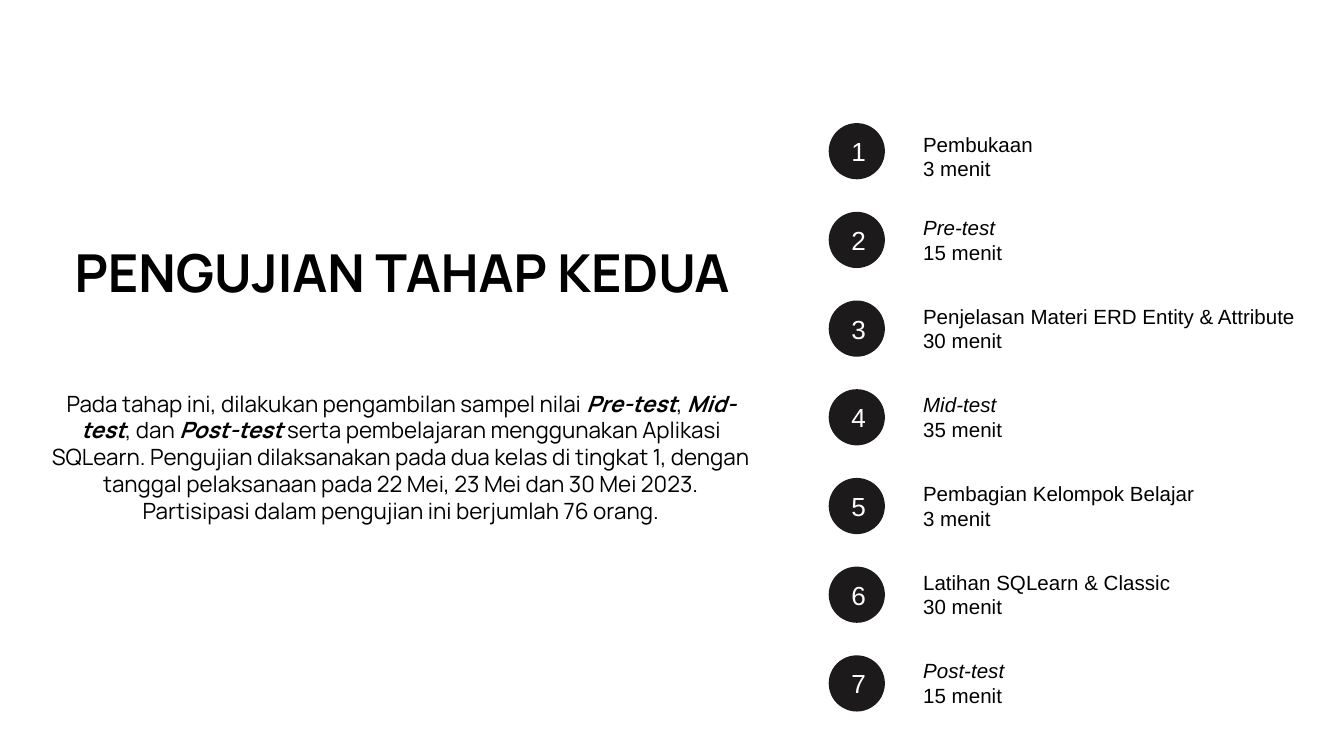
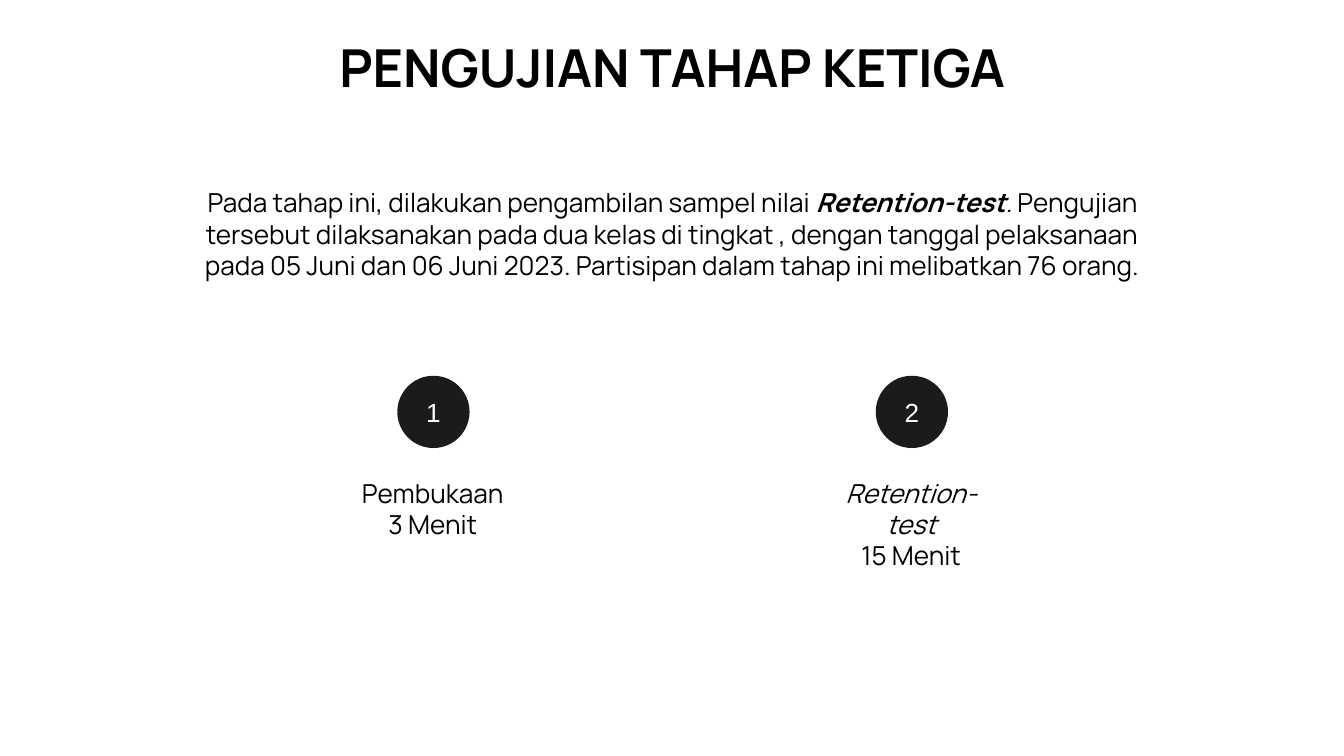
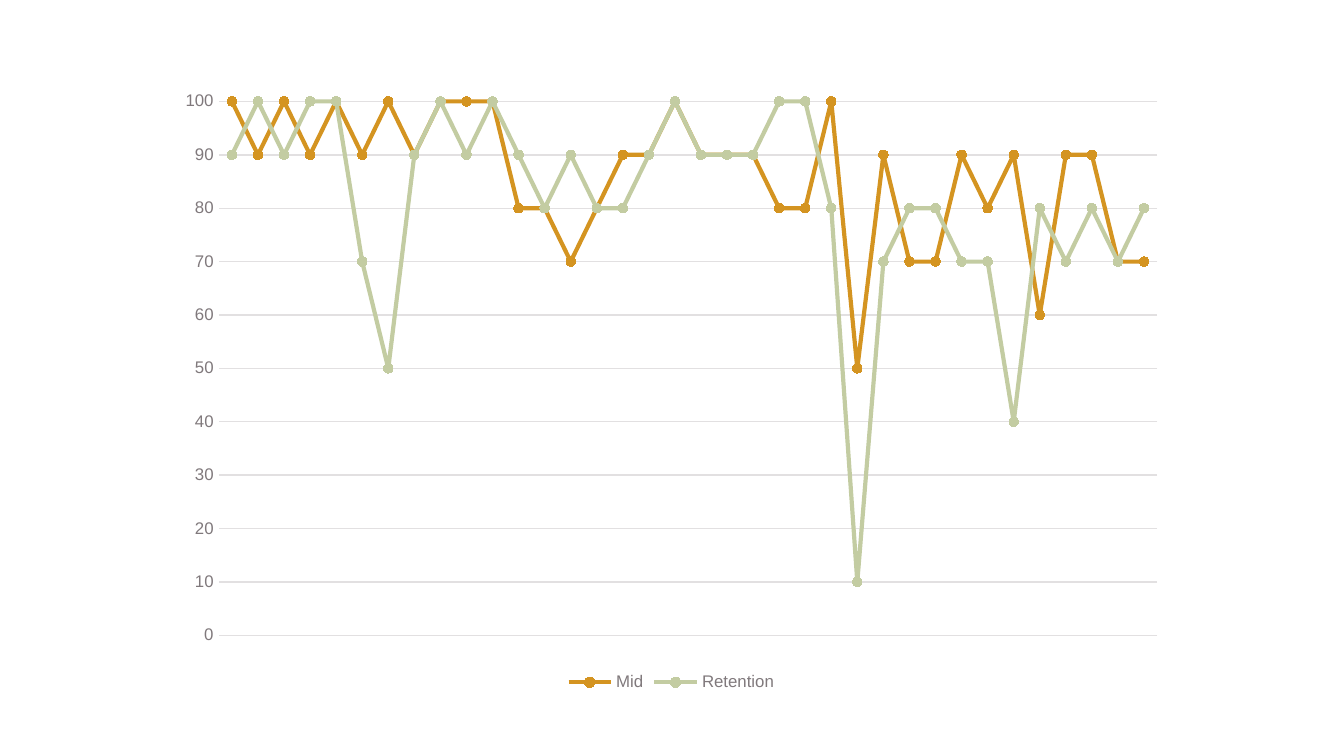
"""Build three slides on the second and third test stages and their scores."""
import pptx
import pptx.chart.data
import pptx.dml.color
import pptx.enum.chart
import pptx.enum.shapes
import pptx.enum.text
import pptx.util

Inches = pptx.util.Inches
Pt = pptx.util.Pt
ALIGN = pptx.enum.text.PP_ALIGN
BLACK, DARK, WHITE = "000000", "1C1A1B", "FFFFFF"
GREY, GRID, GOLD, SAGE = "80797C", "E2E0E1", "D49421", "C3CCA2"
HEAD, BODY = "Manrope", "Arial"


def paint(fill, tint):
    """Give a fill one solid colour."""
    fill.solid()
    fill.fore_color.rgb = pptx.dml.color.RGBColor.from_string(tint)


def write(shape, runs, size, face, tint=BLACK, align=ALIGN.CENTER):
    """Write (text, style) runs, where None stands for a line break."""
    para = shape.text_frame.paragraphs[0]
    para.alignment = align
    for item in runs:
        if item is None:
            para.add_line_break()
            continue
        run = para.add_run()
        run.text, style = item
        run.font.size = Pt(size)
        run.font.name = face
        run.font.bold = "b" in style
        run.font.italic = "i" in style
        paint(run.font.fill, tint)


deck = pptx.Presentation()
deck.slide_width = Inches(10)
deck.slide_height = Inches(10 * 9 / 16)
second, third, score = [deck.slides.add_slide(deck.slide_layouts[6]) for _ in range(3)]

steps = [
    ("Pembukaan", "", "3 menit", 1.03),
    ("Pre-test", "i", "15 menit", 0.79),
    ("Penjelasan Materi ERD Entity & Attribute", "", "30 menit", 3),
    ("Mid-test", "i", "35 menit", 0.79),
    ("Pembagian Kelompok Belajar", "", "3 menit", 2.24),
    ("Latihan SQLearn & Classic", "", "30 menit", 2.05),
    ("Post-test", "i", "15 menit", 0.81),
]
parts = [("Pembukaan", "", "3 Menit", 1.29), ("Retention-test", "i", "15 Menit", 1.44)]

intro = [
    ("Pada tahap ini, dilakukan pengambilan sampel nilai ", ""),
    ("Pre-test", "bi"), (", ", ""), ("Mid-test", "bi"), (", dan ", ""), ("Post-test", "bi"),
    (" serta pembelajaran menggunakan Aplikasi SQLearn. Pengujian dilaksanakan pada dua kelas "
     "di tingkat 1, dengan tanggal pelaksanaan pada 22 Mei, 23 Mei dan 30 Mei 2023. "
     "Partisipasi dalam pengujian ini berjumlah 76 orang.", ""),
]
brief = [
    ("Pada tahap ini, dilakukan pengambilan sampel nilai ", ""),
    ("Retention-test", "bi"), (". ", "i"),
    ("Pengujian tersebut dilaksanakan pada dua kelas di tingkat , dengan tanggal pelaksanaan "
     "pada 05 Juni dan 06 Juni 2023. Partisipan dalam tahap ini melibatkan 76 orang.", ""),
]

texts = [
    (second, [("PENGUJIAN TAHAP KEDUA", "b")], (0.33, 1.74, 5.32, 0.57), 28, HEAD, ALIGN.CENTER),
    (second, intro, (0.28, 2.85, 5.41, 1.11), 12, HEAD, ALIGN.CENTER),
    (third, [("PENGUJIAN TAHAP KETIGA", "b")], (2.19, 0.21, 5.62, 0.57), 28, HEAD, ALIGN.CENTER),
    (third, brief, (1.27, 1.34, 7.47, 0.81), 14, HEAD, ALIGN.CENTER),
]
discs = []
for i, (name, style, time, wide) in enumerate(steps):
    discs.append((second, i + 1, 6.18, 0.93 + 0.66 * i, 0.39))
    top = 0.89 + 0.66 * i if i else 0.93
    texts.append((second, [(name, style), None, (time, "")],
                  (6.77, top, wide, 0.47), 11, BODY, ALIGN.LEFT))
for i, (name, style, time, wide) in enumerate(parts):
    left = 2.97 + 3.56 * i
    discs.append((third, i + 1, left, 2.81, 0.51))
    texts.append((third, [(name, style), None, (time, "")],
                  (left + 0.25 - wide / 2, 3.5, wide, 0.57), 14, HEAD, ALIGN.CENTER))

for page, runs, spot, size, face, align in texts:
    box = page.shapes.add_textbox(*map(Inches, spot))
    box.text_frame.word_wrap = face == HEAD
    box.text_frame.auto_size = pptx.enum.text.MSO_AUTO_SIZE.SHAPE_TO_FIT_TEXT
    write(box, runs, size, face, align=align)

for page, count, left, top, size in discs:
    disc = page.shapes.add_shape(pptx.enum.shapes.MSO_SHAPE.OVAL, Inches(left), Inches(top),
                                 Inches(size), Inches(size))
    disc.shadow.inherit = False
    paint(disc.fill, DARK)
    paint(disc.line.fill, DARK)
    disc.line.width = Pt(2)
    disc.text_frame.vertical_anchor = pptx.enum.text.MSO_ANCHOR.MIDDLE
    write(disc, [(str(count), "")], 14, BODY, WHITE)

data = pptx.chart.data.CategoryChartData()
data.categories = [str(n) for n in range(1, 37)]
data.add_series("Mid", [
    100, 90, 100, 90, 100, 90, 100, 90, 100, 100, 100, 80, 80, 70, 80, 90, 90, 100,
    90, 90, 90, 80, 80, 100, 50, 90, 70, 70, 90, 80, 90, 60, 90, 90, 70, 70])
data.add_series("Retention", [
    90, 100, 90, 100, 100, 70, 50, 90, 100, 90, 100, 90, 80, 90, 80, 80, 90, 100,
    90, 90, 90, 100, 100, 80, 10, 70, 80, 80, 70, 70, 40, 80, 70, 80, 70, 80])
chart = score.shapes.add_chart(pptx.enum.chart.XL_CHART_TYPE.LINE_MARKERS, Inches(1.23),
                               Inches(0.59), Inches(7.53), Inches(4.6), data).chart
chart.has_title = False
chart.font.size = Pt(10)
chart.font.name = BODY
paint(chart.font.fill, "383536")
chart.has_legend = True
chart.legend.position = pptx.enum.chart.XL_LEGEND_POSITION.BOTTOM
chart.legend.include_in_layout = False
chart.category_axis.visible = False
axis = chart.value_axis
axis.maximum_scale = 100
axis.major_tick_mark = pptx.enum.chart.XL_TICK_MARK.NONE
axis.minor_tick_mark = pptx.enum.chart.XL_TICK_MARK.NONE
axis.format.line.fill.background()
axis.has_major_gridlines = True
paint(axis.major_gridlines.format.line.fill, GRID)
axis.major_gridlines.format.line.width = Pt(0.75)
for font in (axis.tick_labels.font, chart.legend.font):
    font.size = Pt(9)
    font.name = BODY
    paint(font.fill, GREY)

chart.plots[0].vary_by_categories = False
for line, tint in zip(chart.plots[0].series, (GOLD, SAGE)):
    line.smooth = False
    paint(line.format.line.fill, tint)
    line.format.line.width = Pt(2.25)
    line.marker.style = pptx.enum.chart.XL_MARKER_STYLE.CIRCLE
    line.marker.size = 5
    paint(line.marker.format.fill, tint)
    paint(line.marker.format.line.fill, tint)

deck.save("out.pptx")
